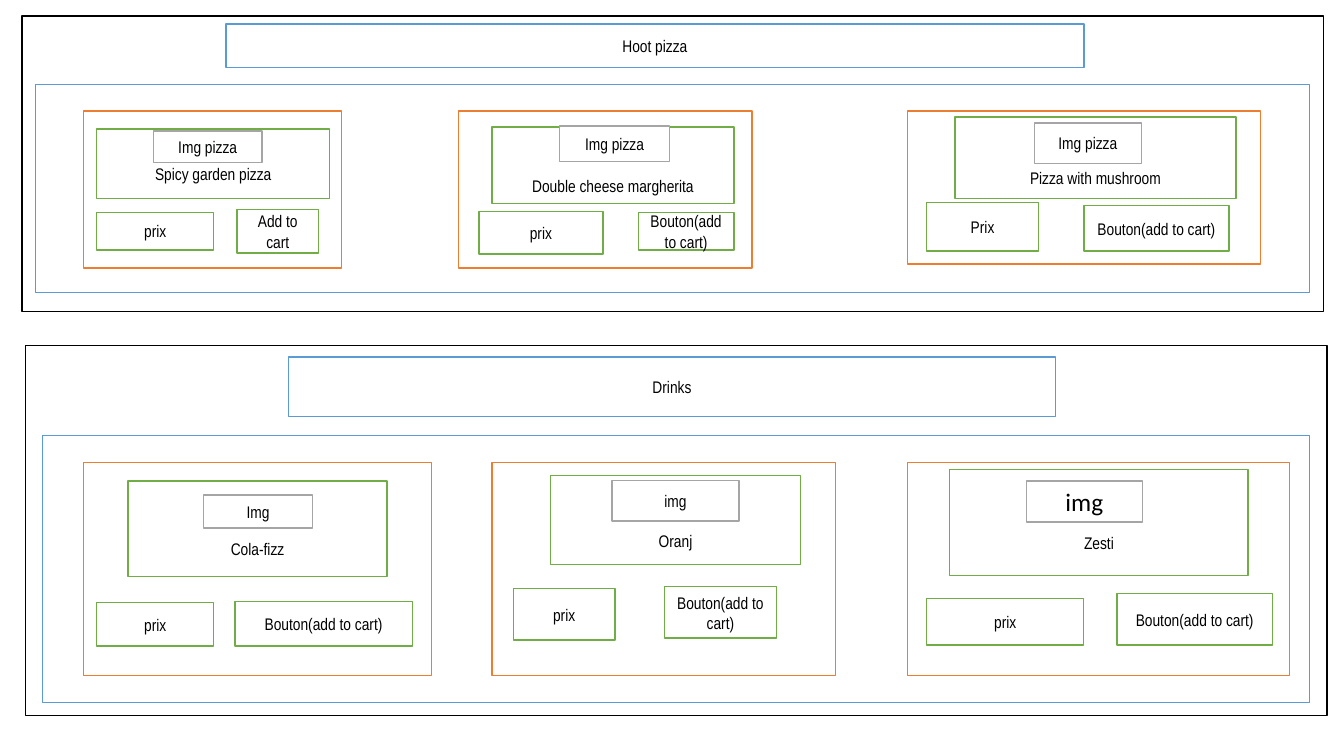
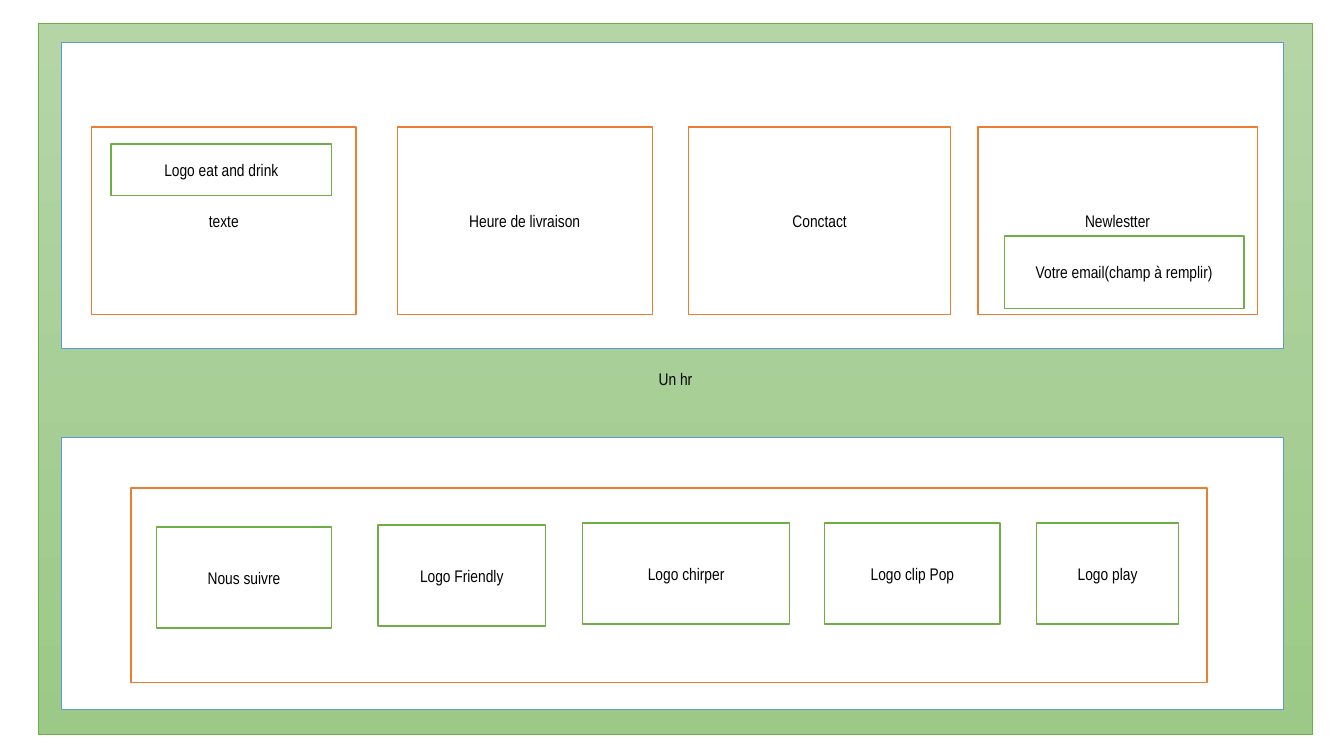
from pptx import Presentation
from pptx.util import Inches, Pt
from pptx.dml.color import RGBColor
from pptx.enum.shapes import MSO_SHAPE
from pptx.enum.text import MSO_ANCHOR, PP_ALIGN

BLACK, WHITE, GREY = "000000", "FFFFFF", "A5A5A5"
BLUE, ORANGE, GREEN = "5B9BD5", "ED7D31", "70AD47"
FADE = ("B5D5A7", "9CC987")
FONT, SIZE, LEAD = "Arial Narrow", 12, 0.2
ADD = "Bouton(add to cart)"

MENUS = [
    {
        "frame": (0.22, 0.16, 12.91, 2.93),
        "title": ("Hoot pizza", (2.24, 0.24, 8.51, 0.43)),
        "panel": (0.35, 0.84, 12.64, 2.06),
        "cards": [
            {
                "box": (0.83, 1.1, 2.56, 1.56),
                "name": ("Spicy garden pizza", (0.96, 1.28, 2.31, 0.69), 1),
                "price": ("prix", (0.96, 2.11, 1.16, 0.37)),
                "button": ("Add to cart", (2.35, 2.08, 0.81, 0.43)),
                "image": ("Img pizza", (1.52, 1.3, 1.08, 0.31)),
            },
            {
                "box": (4.55, 1.1, 2.91, 1.56),
                "name": ("Double cheese margherita", (4.88, 1.26, 2.4, 0.76), 2),
                "price": ("prix", (4.75, 2.1, 1.23, 0.42)),
                "button": (ADD, (6.33, 2.11, 0.95, 0.37)),
                "image": ("Img pizza", (5.55, 1.25, 1.09, 0.35)),
            },
            {
                "box": (9, 1.1, 3.5, 1.52),
                "name": ("Pizza with mushroom", (9.47, 1.16, 2.79, 0.81), 2),
                "price": ("Prix", (9.19, 2.01, 1.11, 0.48)),
                "button": (ADD, (10.75, 2.04, 1.44, 0.45)),
                "image": ("Img pizza", (10.26, 1.22, 1.06, 0.4)),
            },
        ],
    },
    {
        "frame": (0.25, 3.43, 12.91, 3.67),
        "title": ("Drinks", (2.86, 3.54, 7.61, 0.59)),
        "panel": (0.42, 4.32, 12.57, 2.65),
        "cards": [
            {
                "box": (0.83, 4.59, 3.45, 2.11),
                "name": ("Cola-fizz", (1.27, 4.77, 2.57, 0.95), 2),
                "price": ("prix", (0.96, 5.98, 1.16, 0.43)),
                "button": (ADD, (2.33, 5.97, 1.76, 0.44)),
                "image": ("Img", (2.02, 4.91, 1.08, 0.33)),
            },
            {
                "box": (4.88, 4.59, 3.41, 2.11),
                "name": ("Oranj", (5.46, 4.72, 2.48, 0.88), 2),
                "price": ("prix", (5.09, 5.84, 1.01, 0.51)),
                "button": (ADD, (6.59, 5.82, 1.11, 0.51)),
                "image": ("img", (6.07, 4.77, 1.26, 0.4)),
            },
            {
                "box": (9, 4.59, 3.79, 2.11),
                "name": ("Zesti", (9.42, 4.66, 2.96, 1.05), 2),
                "price": ("prix", (9.19, 5.94, 1.56, 0.46)),
                "button": (ADD, (11.08, 5.89, 1.54, 0.51)),
                "image": ("img", (10.18, 4.77, 1.15, 0.41)),
                "style": {"size": 18, "font": "Calibri"},
            },
        ],
    },
]

BACK = ("Un hr", (0.38, 0.23, 12.64, 7.06))
PANELS = [(0.42, 3.04), (4.34, 2.7)]
COLUMNS = [
    ("texte", 0.91, 2.62),
    ("Heure de livraison", 3.94, 2.53),
    ("Conctact", 6.83, 2.6),
    ("Newlestter", 9.7, 2.77),
]
FIELDS = [
    ("Logo eat and drink", (1.1, 1.43, 2.19, 0.51)),
    ("Votre email(champ à remplir)", (9.96, 2.34, 2.38, 0.72)),
]
SOCIAL = (1.3, 4.84, 10.67, 1.93)
LINKS = [
    ("Nous suivre", 1.55, 5.23, 1.74),
    ("Logo Friendly", 3.75, 5.21, 1.66),
    ("Logo chirper", 5.78, 5.19, 2.05),
    ("Logo clip Pop", 8.18, 5.19, 1.74),
    ("Logo play", 10.28, 5.19, 1.41),
]


def color(code):
    return RGBColor.from_string(code)


def write(shape, text, size=SIZE, font=FONT, ink=BLACK, drop=0):
    frame = shape.text_frame
    frame.word_wrap = True
    frame.vertical_anchor = MSO_ANCHOR.MIDDLE
    frame.margin_top = Inches(0.05 + drop * LEAD)
    para = frame.paragraphs[0]
    para.alignment = PP_ALIGN.CENTER
    run = para.add_run()
    run.text = text
    run.font.size = Pt(size)
    run.font.name = font
    run.font.color.rgb = color(ink)


def box(slide, area, line, text="", width=1, fade=None, **style):
    shape = slide.shapes.add_shape(MSO_SHAPE.RECTANGLE, *map(Inches, area))
    shape.shadow.inherit = False
    if fade:
        shape.fill.gradient()
        shape.fill.gradient_angle = 270
        for stop, code, place in zip(shape.fill.gradient_stops, fade, (0, 1)):
            stop.color.rgb = color(code)
            stop.position = place
    else:
        shape.fill.solid()
        shape.fill.fore_color.rgb = color(WHITE)
    shape.line.color.rgb = color(line)
    shape.line.width = Pt(width)
    if text:
        write(shape, text, **style)


def draw_card(slide, card):
    box(slide, card["box"], ORANGE)
    text, area, drop = card["name"]
    box(slide, area, GREEN, text, drop=drop)
    for part in ("price", "button"):
        text, area = card[part]
        box(slide, area, GREEN, text)
    text, area = card["image"]
    box(slide, area, GREY, text, **card.get("style", {}))


def draw_menu(slide, menu):
    box(slide, menu["frame"], BLACK)
    text, area = menu["title"]
    box(slide, area, BLUE, text)
    box(slide, menu["panel"], BLUE)
    for card in menu["cards"]:
        draw_card(slide, card)


def draw_footer(slide):
    text, area = BACK
    box(slide, area, GREEN, text, width=0.5, fade=FADE)
    for top, height in PANELS:
        box(slide, (0.61, top, 12.12, height), BLUE)
    for text, left, width in COLUMNS:
        box(slide, (left, 1.26, width, 1.86), ORANGE, text)
    for text, area in FIELDS:
        box(slide, area, GREEN, text)
    box(slide, SOCIAL, ORANGE)
    for text, left, top, width in LINKS:
        box(slide, (left, top, width, 1), GREEN, text)


def main():
    deck = Presentation()
    deck.slide_width, deck.slide_height = Inches(13.33), Inches(7.5)
    blank = deck.slide_layouts[6]
    slide = deck.slides.add_slide(blank)
    for menu in MENUS:
        draw_menu(slide, menu)
    draw_footer(deck.slides.add_slide(blank))
    deck.save("out.pptx")


if __name__ == "__main__":
    main()
